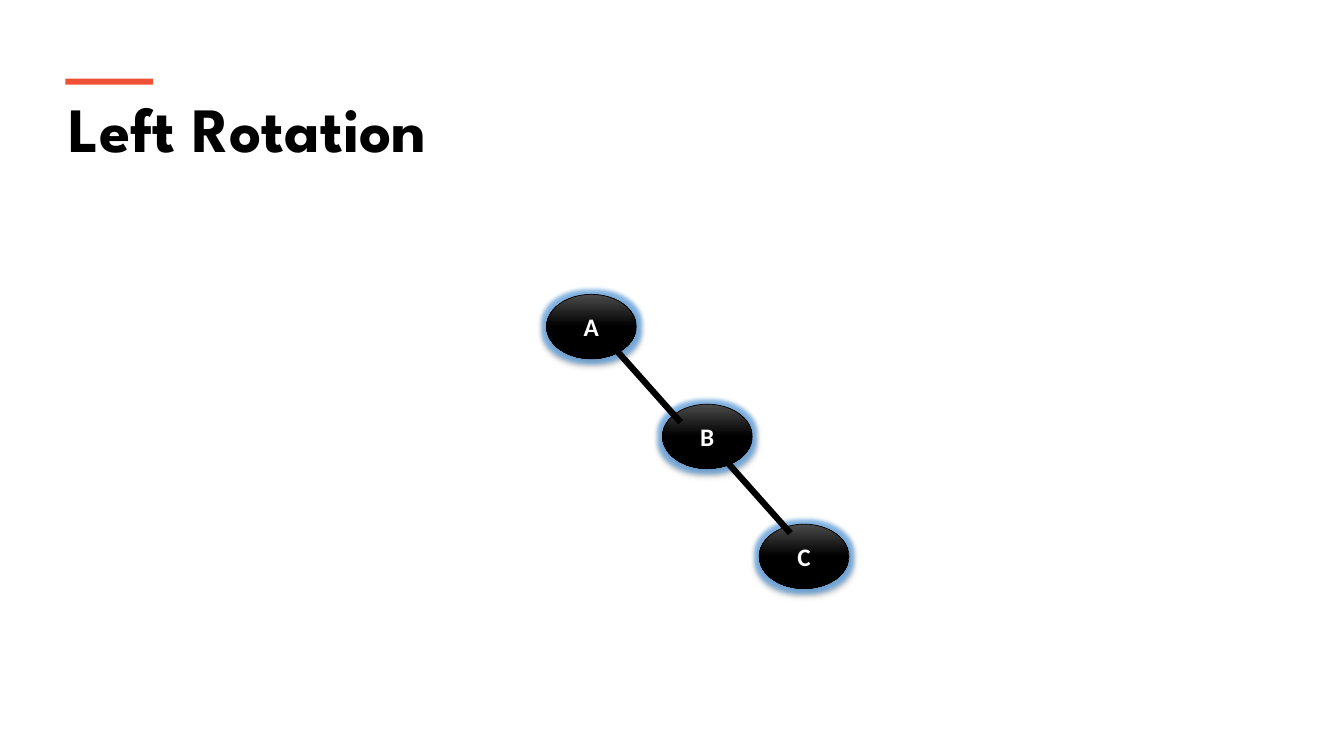
from lxml import etree
from pptx import Presentation
from pptx.dml.color import RGBColor
from pptx.enum.shapes import MSO_CONNECTOR as Link, MSO_SHAPE as Shape
from pptx.enum.text import MSO_ANCHOR as Anchor, MSO_AUTO_SIZE as Fit, PP_ALIGN as Align
from pptx.oxml import parse_xml
from pptx.oxml.ns import qn
from pptx.util import Inches, Pt

COLORS = {"ink": "000000", "sheen": "4B4B4B", "paper": "FFFFFF",
          "accent": "F05136", "glow": "4A9BE8"}
NS = 'xmlns:a="http://schemas.openxmlformats.org/drawingml/2006/main"'
NODES = {"A": (0, 0), "B": (1.15, 1.09), "C": (2.11, 2.28)}
EDGES = [(0.68, 0.54), (1.77, 1.64)]
NODE_W, NODE_H = 0.89, 0.64
EDGE_W, EDGE_H = 0.65, 0.73


def color(name):
    return RGBColor.from_string(COLORS[name])


def write(frame, text, size, face, tint, align):
    para = frame.paragraphs[0]
    para.alignment = align
    run = para.add_run()
    run.text = text
    font = run.font
    font.size, font.name, font.bold = Pt(size), face, True
    font.color.rgb = color(tint)


def add_title(slide, left, top, width, height):
    title = slide.shapes.title
    title.left, title.top = Inches(left), Inches(top)
    title.width, title.height = Inches(width), Inches(height)
    frame = title.text_frame
    frame.word_wrap = True
    frame.auto_size = Fit.NONE
    frame.vertical_anchor = Anchor.TOP
    write(frame, "Left Rotation", 45, "League Spartan", "ink", Align.LEFT)
    bar = slide.shapes.add_shape(Shape.RECTANGLE, Inches(left + 0.07),
                                 Inches(top - 0.06), Inches(0.87), Inches(0.06))
    bar.shadow.inherit = False
    bar.fill.solid()
    bar.fill.fore_color.rgb = color("accent")
    bar.line.fill.background()


def add_glow(node):
    node.shadow.inherit = False
    effects = node._element.spPr.find(qn("a:effectLst"))
    effects.append(parse_xml(
        f'<a:glow {NS} rad="76200"><a:srgbClr val="{COLORS["glow"]}">'
        '<a:alpha val="60000"/></a:srgbClr></a:glow>'))
    effects.append(parse_xml(
        f'<a:outerShdw {NS} blurRad="39370" dist="22860" dir="5400000" rotWithShape="0">'
        f'<a:srgbClr val="{COLORS["ink"]}"><a:alpha val="35000"/></a:srgbClr></a:outerShdw>'))


def add_node(slide, label, left, top):
    node = slide.shapes.add_shape(Shape.OVAL, Inches(left), Inches(top),
                                  Inches(NODE_W), Inches(NODE_H))
    node.fill.gradient()
    node.fill.gradient_angle = 270
    for stop, (tint, place) in zip(node.fill.gradient_stops, [("sheen", 0), ("ink", 0.5)]):
        stop.color.rgb = color(tint)
        stop.position = place
    node.line.color.rgb = color("ink")
    node.line.width = Pt(0.5)
    add_glow(node)
    frame = node.text_frame
    frame.word_wrap = True
    frame.vertical_anchor = Anchor.MIDDLE
    frame.margin_left = frame.margin_right = Inches(0.09)
    frame.margin_top = frame.margin_bottom = Inches(0.04)
    write(frame, label, 18, "Calibri", "paper", Align.CENTER)


def add_edge(slide, left, top):
    edge = slide.shapes.add_connector(Link.STRAIGHT, Inches(left + EDGE_W), Inches(top + EDGE_H),
                                      Inches(left), Inches(top))
    edge.line.color.rgb = color("ink")
    edge.line.width = Pt(4.5)
    etree.SubElement(edge._element.spPr, qn("a:effectLst"))


def add_tree(slide, left, top):
    for label, (x, y) in NODES.items():
        add_node(slide, label, left + x, top + y)
    for x, y in EDGES:
        add_edge(slide, left + x, top + y)


def main():
    deck = Presentation()
    deck.slide_width, deck.slide_height = Inches(13.33), Inches(7.5)
    slide = deck.slides.add_slide(deck.slide_layouts[5])
    slide.background.fill.solid()
    slide.background.fill.fore_color.rgb = color("paper")
    add_title(slide, 0.58, 0.84, 12.18, 0.86)
    add_tree(slide, 5.42, 2.92)
    deck.save("out.pptx")


if __name__ == "__main__":
    main()
